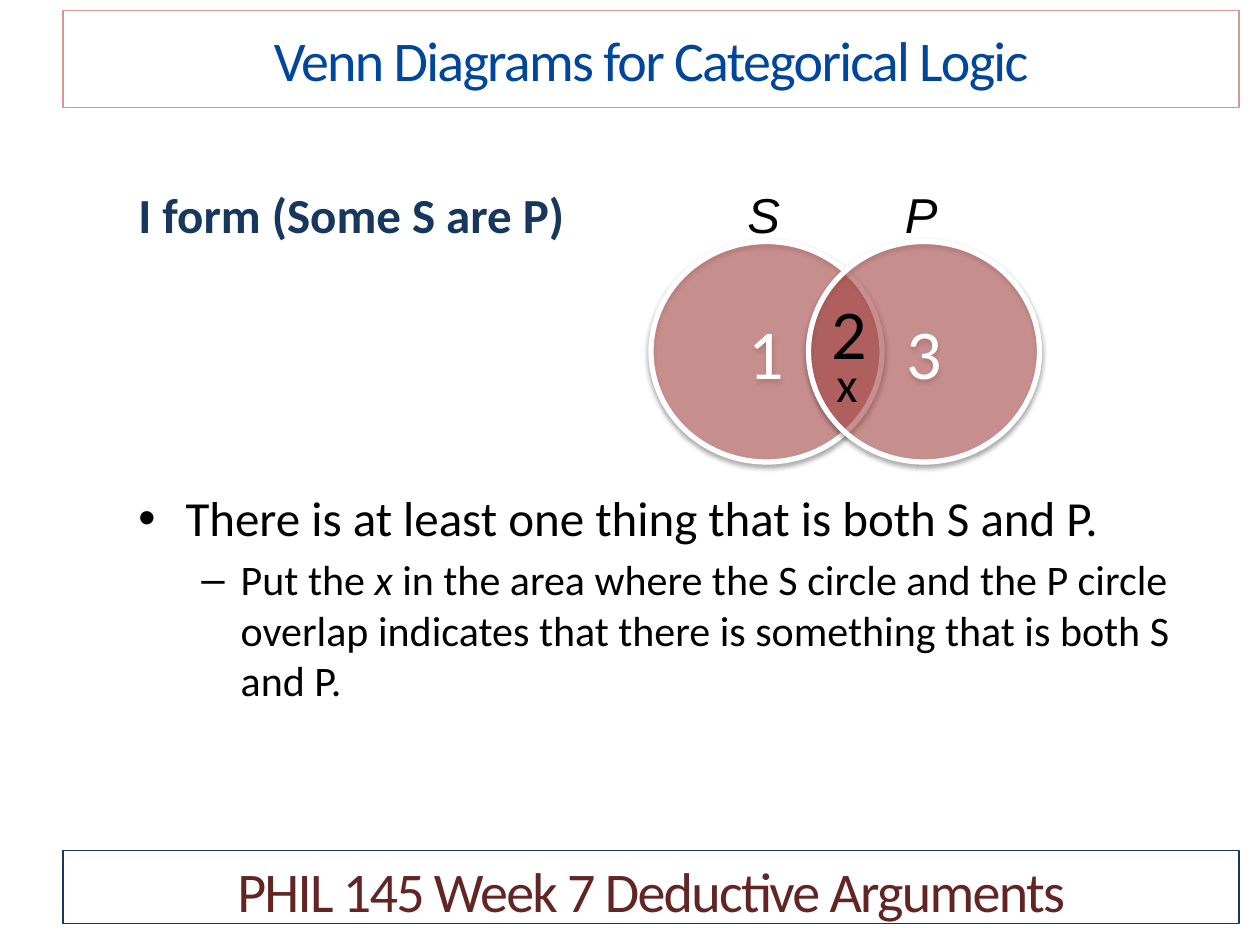
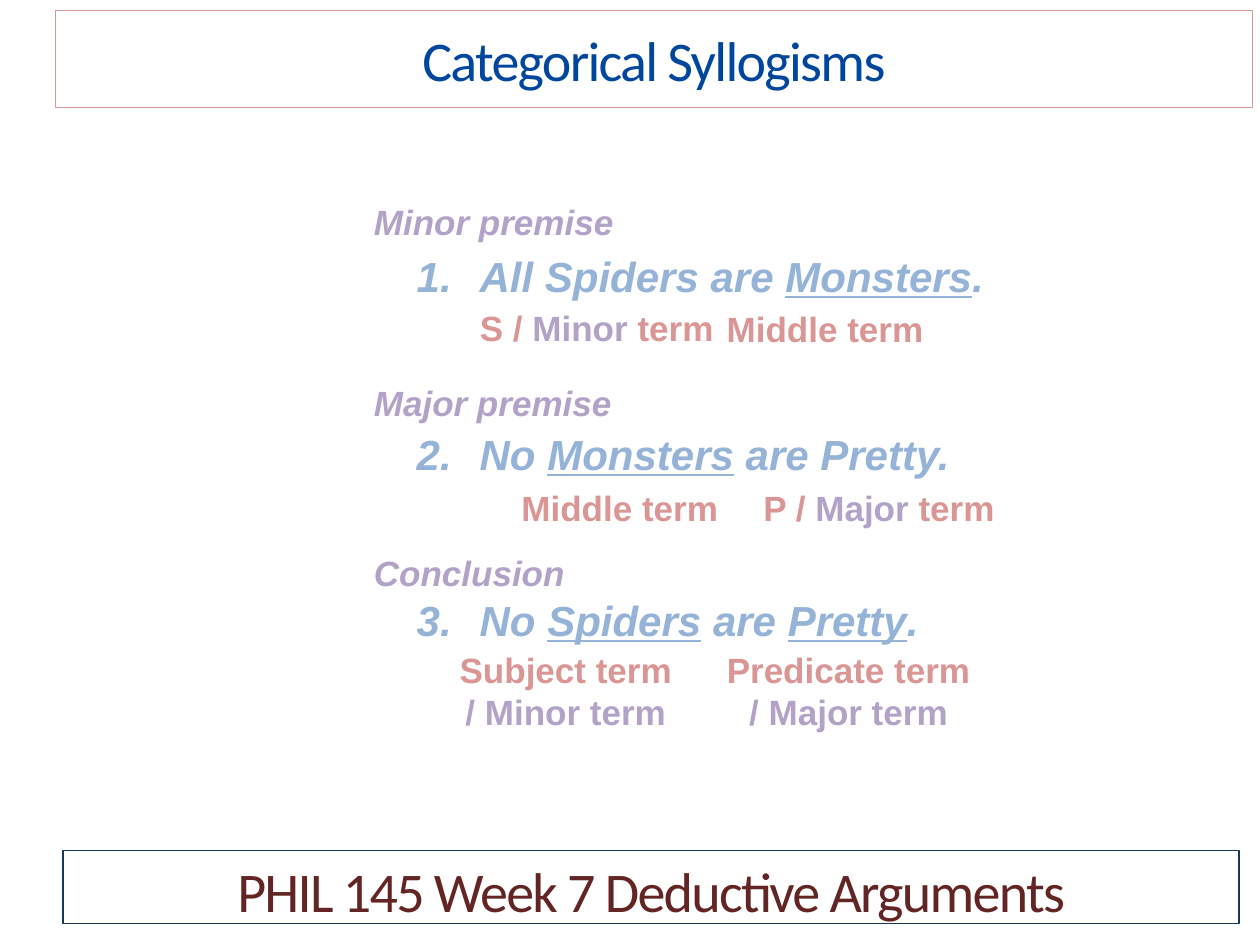
import pptx
import pptx.util
import pptx.dml.color
import pptx.enum.shapes
import pptx.enum.text
import pptx.oxml.ns
from lxml import etree

Pt = pptx.util.Pt
Align = pptx.enum.text.PP_ALIGN
Anchor = pptx.enum.text.MSO_ANCHOR

THEME = {
    "heading_font": "Calibri", "label_font": "Arial",
    "title": "00469C", "title_line": "D99694",
    "footer": "632523", "footer_line": "17375E",
    "heading": "17375E", "ink": "000000", "white": "FFFFFF",
    "circle": "C0504D", "premise": "95B3D7", "role": "B3A2C7", "term": "D99694",
    "band_size": 32, "body_size": 28, "sub_size": 24, "region_size": 40,
    "premise_size": 24, "label_size": 20,
}

FOOTER = "PHIL 145 Week 7 Deductive Arguments"
VENN_TITLE = "Venn Diagrams for Categorical Logic"
SYLLOGISM_TITLE = "Categorical Syllogisms"

FORM = "I form (Some S are P)"
MEANING = "There is at least one thing that is both S and P."
PLACEMENT = [
    ("Put the ", {}), ("x", {"italic": True}),
    (" in the area where the S circle and the P circle overlap indicates"
     " that there is something that is both S and P.", {}),
]
CIRCLES = ["1", "3"]
SET_NAMES = ["S", "P"]
OVERLAP = [("2", "region_size", (468, 162, 35.3, 55.4)),
           ("x", "body_size", (470.9, 198.7, 27.4, 41))]

UNDERLINED = {"underline": True}
PREMISES = [
    (0, [("All Spiders are ", {}), ("Monsters", UNDERLINED), (".", {})]),
    (73, [("No ", {}), ("Monsters", UNDERLINED), (" are Pretty.", {})]),
    (66, [("No ", {}), ("Spiders", UNDERLINED), (" are ", {}),
          ("Pretty", UNDERLINED), (".", {})]),
]
ROLES = [("Minor premise", 110.9, 152.6), ("Major premise", 214.6, 151.2),
         ("Conclusion", 311.8, 124.6)]
ROLE_COLOR = {"color": "role"}
TERMS = [
    ((267.1, 171.4, 149, 31.7), [[("S / ", {}), ("Minor", ROLE_COLOR), (" term", {})]]),
    ((408.2, 172.1, 127.4, 31.7), [[("Middle term", {})]]),
    ((290.9, 274.3, 127.4, 31.7), [[("Middle term", {})]]),
    ((429.1, 274.3, 147.6, 31.7), [[("P / ", {}), ("Major", ROLE_COLOR), (" term", {})]]),
    ((252, 367.2, 142.6, 55.4), [[("Subject term", {})], [("/ Minor term", ROLE_COLOR)]]),
    ((407.5, 367.2, 154.8, 55.4), [[("Predicate term", {})], [("/ Major term", ROLE_COLOR)]]),
]


def rgb(name):
    return pptx.dml.color.RGBColor.from_string(THEME[name])


def add_xml(parent, tag, **attributes):
    return etree.SubElement(parent, pptx.oxml.ns.qn(tag), attributes)


def set_bullet(para, margin, indent, tag, **attributes):
    properties = para._p.get_or_add_pPr()
    properties.set("marL", str(Pt(margin)))
    properties.set("indent", str(Pt(indent)))
    add_xml(properties, "a:buFont", typeface="Arial" if tag == "a:buChar" else "+mj-lt")
    add_xml(properties, tag, **attributes)


def write(para, spans, color, size, font="label_font", bold=False, italic=False,
          align=Align.LEFT):
    para.alignment = align
    para.font.name = THEME[font]
    para.font.size = Pt(THEME[size])
    para.font.bold = bold
    para.font.color.rgb = rgb(color)
    if italic:
        para.font.italic = True
    for text, style in spans:
        span = para.add_run()
        span.text = text
        if "color" in style:
            span.font.color.rgb = rgb(style["color"])
        if "underline" in style:
            span.font.underline = True
        if "italic" in style:
            span.font.italic = True


def add_box(page, place, wrap=False):
    box = page.shapes.add_textbox(*map(Pt, place))
    box.text_frame.word_wrap = wrap
    if not wrap:
        box.text_frame.auto_size = pptx.enum.text.MSO_AUTO_SIZE.SHAPE_TO_FIT_TEXT
    return box.text_frame


def add_label(page, place, lines, **style):
    frame = add_box(page, place)
    for number, spans in enumerate(lines):
        para = frame.add_paragraph() if number else frame.paragraphs[0]
        write(para, spans, **style)


def add_band(page, place, text, color, line, anchor):
    band = page.shapes.add_shape(pptx.enum.shapes.MSO_SHAPE.RECTANGLE, *map(Pt, place))
    band.shadow.inherit = False
    band.fill.background()
    band.line.color.rgb = rgb(line)
    band.line.width = Pt(0.75)
    band.text_frame.word_wrap = True
    band.text_frame.vertical_anchor = anchor
    para = band.text_frame.paragraphs[0]
    write(para, [(text, {})], color, "band_size", "heading_font", align=Align.CENTER)
    para.runs[0]._r.get_or_add_rPr().set("spc", "-100")


def add_frame(page, title, left, width):
    add_band(page, (36, 486, 672, 41.8), FOOTER, "footer", "footer_line", Anchor.TOP)
    add_band(page, (left, 6, width, 55.4), title, "title", "title_line", Anchor.MIDDLE)


def add_circle(page, left, text):
    circle = page.shapes.add_shape(
        pptx.enum.shapes.MSO_SHAPE.OVAL, Pt(left), Pt(138), Pt(132), Pt(126))
    circle.fill.solid()
    circle.fill.fore_color.rgb = rgb("circle")
    properties = circle._element.spPr
    fill_color = properties.find(".//" + pptx.oxml.ns.qn("a:srgbClr"))
    add_xml(fill_color, "a:alpha", val="50000")
    circle.line.color.rgb = rgb("white")
    circle.line.width = Pt(3)
    circle.shadow.inherit = False
    effects = properties.find(pptx.oxml.ns.qn("a:effectLst"))
    shadow = add_xml(effects, "a:outerShdw", blurRad=str(Pt(3.1)), dist=str(Pt(1.6)),
                     dir="5400000", rotWithShape="0")
    shade = add_xml(shadow, "a:srgbClr", val=THEME["ink"])
    add_xml(shade, "a:alpha", val="38000")
    circle.text_frame.vertical_anchor = Anchor.MIDDLE
    write(circle.text_frame.paragraphs[0], [(text, {})], "white", "region_size",
          "heading_font", align=Align.CENTER)


def build_venn(page):
    frame = add_box(page, (72, 102.2, 612, 360), wrap=True)
    write(frame.paragraphs[0], [(FORM, {})], "heading", "body_size", "heading_font", bold=True)
    meaning = frame.add_paragraph()
    meaning.space_before = Pt(139.5)
    set_bullet(meaning, 27, -27, "a:buChar", char="•")
    write(meaning, [(MEANING, {})], "ink", "body_size", "heading_font")
    placement = frame.add_paragraph()
    placement.space_before = Pt(4)
    set_bullet(placement, 58.5, -22.5, "a:buChar", char="–")
    write(placement, PLACEMENT, "ink", "sub_size", "heading_font")

    for number, text in enumerate(CIRCLES):
        add_circle(page, 372 + 90 * number, text)
    for number, name in enumerate(SET_NAMES):
        add_label(page, (420 + 90 * number, 102.2, 33, 41), [[(name, {})]],
                  color="ink", size="body_size", italic=True)
    for text, size, place in OVERLAP:
        add_label(page, place, [[(text, {})]], color="ink", size=size, font="heading_font")
    add_frame(page, VENN_TITLE, 36, 672)


def build_syllogism(page):
    frame = add_box(page, (180, 139.7, 394, 257), wrap=True)
    for number, (gap, spans) in enumerate(PREMISES):
        para = frame.add_paragraph() if number else frame.paragraphs[0]
        if gap:
            para.space_before = Pt(gap)
        set_bullet(para, 87, -36, "a:buAutoNum", type="arabicPeriod")
        write(para, spans, "premise", "premise_size", bold=True, italic=True)
    for place, lines in TERMS:
        add_label(page, place, lines, color="term", size="label_size", bold=True,
                  align=Align.CENTER if len(lines) > 1 else Align.LEFT)
    for text, top, width in ROLES:
        add_label(page, (206.6, top, width, 31.7), [[(text, {})]],
                  color="role", size="label_size", bold=True, italic=True)
    add_frame(page, SYLLOGISM_TITLE, 31.7, 684)


def main():
    deck = pptx.Presentation()
    deck.slide_width, deck.slide_height = Pt(720), Pt(540)
    for build in (build_venn, build_syllogism):
        build(deck.slides.add_slide(deck.slide_layouts[6]))
    deck.save("out.pptx")


if __name__ == "__main__":
    main()
